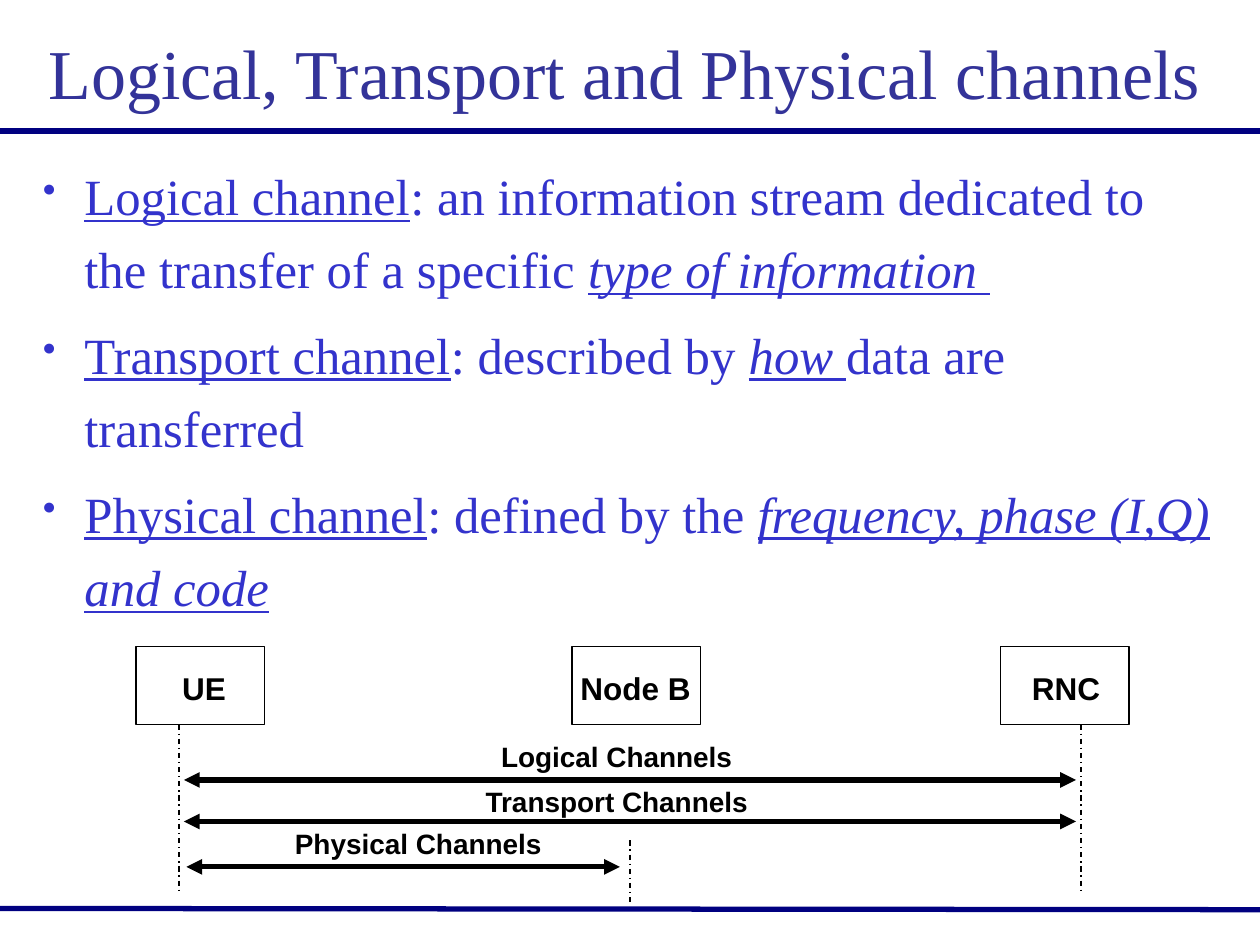
"""Build a slide on logical, transport and physical channels."""
from lxml import etree
from pptx import Presentation, util as u
from pptx.dml.color import RGBColor
from pptx.enum import dml, shapes, text
from pptx.oxml.ns import qn

COLORS = {"rule": "000080", "title": "333399", "body": "3333CC", "ink": "000000"}


def add_line(start, end, color, width, dashed=False, arrows=False):
    """Draw a straight line, optionally dashed or with two arrowheads."""
    line = page.shapes.add_connector(
        shapes.MSO_CONNECTOR.STRAIGHT, *(u.Inches(value) for value in start + end))
    line.line.color.rgb = RGBColor.from_string(COLORS[color])
    line.line.width = u.Pt(width)
    if dashed:
        line.line.dash_style = dml.MSO_LINE.DASH_DOT
    if arrows:
        outline = line.line._get_or_add_ln()
        for tag in ("a:headEnd", "a:tailEnd"):
            etree.SubElement(outline, qn(tag), type="triangle")
    etree.SubElement(line._element.spPr, qn("a:effectLst"))


def add_label(wording, left, top, width, height, size):
    """Add a bold, centred one-line label."""
    box = page.shapes.add_textbox(*(u.Inches(value) for value in (left, top, width, height)))
    box.text_frame.word_wrap = False
    box.text_frame.auto_size = text.MSO_AUTO_SIZE.SHAPE_TO_FIT_TEXT
    box.text_frame.margin_left = box.text_frame.margin_right = u.Inches(0.05)
    para = box.text_frame.paragraphs[0]
    para.text = wording
    para.alignment = text.PP_ALIGN.CENTER
    para.font.name = "Arial"
    para.font.size = u.Pt(size)
    para.font.bold = True
    para.font.color.rgb = RGBColor.from_string(COLORS["ink"])


deck = Presentation()
deck.slide_width, deck.slide_height = u.Inches(10), u.Inches(7.5)
page = deck.slides.add_slide(deck.slide_layouts[5])

add_line((0, 7.21), (10, 7.22), "rule", 3)
add_line((0, 1.04), (10, 1.04), "rule", 3)

title = page.shapes.title
title.left, title.top = u.Inches(0.08), u.Inches(0)
title.width, title.height = u.Inches(9.75), u.Inches(1.13)
title.text_frame.text = "Logical, Transport and Physical channels"
title.text_frame.auto_size = text.MSO_AUTO_SIZE.NONE
title.text_frame.vertical_anchor = text.MSO_ANCHOR.MIDDLE
para = title.text_frame.paragraphs[0]
para.alignment = text.PP_ALIGN.CENTER
para.font.name = "Times New Roman"
para.font.size = u.Pt(40)
para.font.color.rgb = RGBColor.from_string(COLORS["title"])

definitions = [
    [("Logical channel", "u"),
     (": an information stream dedicated to the transfer of a specific ", ""),
     ("type of information ", "ui")],
    [("Transport channel", "u"), (": described by ", ""), ("how ", "ui"),
     ("data are transferred", "")],
    [("Physical channel", "u"), (": defined by the ", ""),
     ("frequency, phase (I,Q) and code", "ui")],
]
body = page.shapes.add_textbox(u.Inches(0.25), u.Inches(1.17), u.Inches(9.5), u.Inches(3.83))
frame = body.text_frame
frame.word_wrap = True
frame.margin_left = frame.margin_right = u.Inches(0.09)
frame.margin_top = frame.margin_bottom = u.Inches(0.04)
for index, spans in enumerate(definitions):
    para = frame.add_paragraph() if index else frame.paragraphs[0]
    para.line_spacing = 1.2
    para.space_before = u.Pt(7.3 if index else 0)
    properties = para._p.get_or_add_pPr()
    properties.set("marL", str(u.Inches(0.33)))
    properties.set("indent", str(-u.Inches(0.33)))
    bullet_color = etree.SubElement(properties, qn("a:buClr"))
    etree.SubElement(bullet_color, qn("a:srgbClr"), val=COLORS["body"])
    etree.SubElement(properties, qn("a:buSzPct"), val="75000")
    etree.SubElement(properties, qn("a:buChar"), char="•")
    para.font.name = "Times New Roman"
    para.font.size = u.Pt(29)
    para.font.color.rgb = RGBColor.from_string(COLORS["body"])
    for wording, style in spans:
        span = para.add_run()
        span.text = wording
        if "u" in style:
            span.font.underline = True
        if "i" in style:
            span.font.italic = True

nodes = [("UE", 1.08, 1.35, 0.54), ("Node B", 4.54, 4.51, 1.07), ("RNC", 7.94, 8.09, 0.74)]
for name, left, label_left, label_width in nodes:
    node = page.shapes.add_shape(
        shapes.MSO_SHAPE.RECTANGLE, u.Inches(left), u.Inches(5.13), u.Inches(1.02), u.Inches(0.62))
    node.shadow.inherit = False
    node.fill.background()
    node.line.color.rgb = RGBColor.from_string(COLORS["ink"])
    node.line.width = u.Pt(1)
    add_label(name, label_left, 5.26, label_width, 0.4, 18)

channels = [
    ("Logical Channels", 3.88, 5.82, 2.03, 1.46, 8.54, 6.19),
    ("Transport Channels", 3.75, 6.18, 2.29, 1.46, 8.54, 6.52),
    ("Physical Channels", 2.24, 6.51, 2.16, 1.48, 4.92, 6.88),
]
for name, left, top, width, start, end, level in channels:
    add_line((start, level), (end, level), "ink", 3, arrows=True)
    add_label(name, left, top, width, 0.37, 16)

for x, top, bottom in [(1.42, 5.75, 7.08), (8.58, 5.75, 7.08), (5, 6.67, 7.17)]:
    add_line((x, top), (x, bottom), "ink", 0.75, dashed=True)

deck.save("out.pptx")
